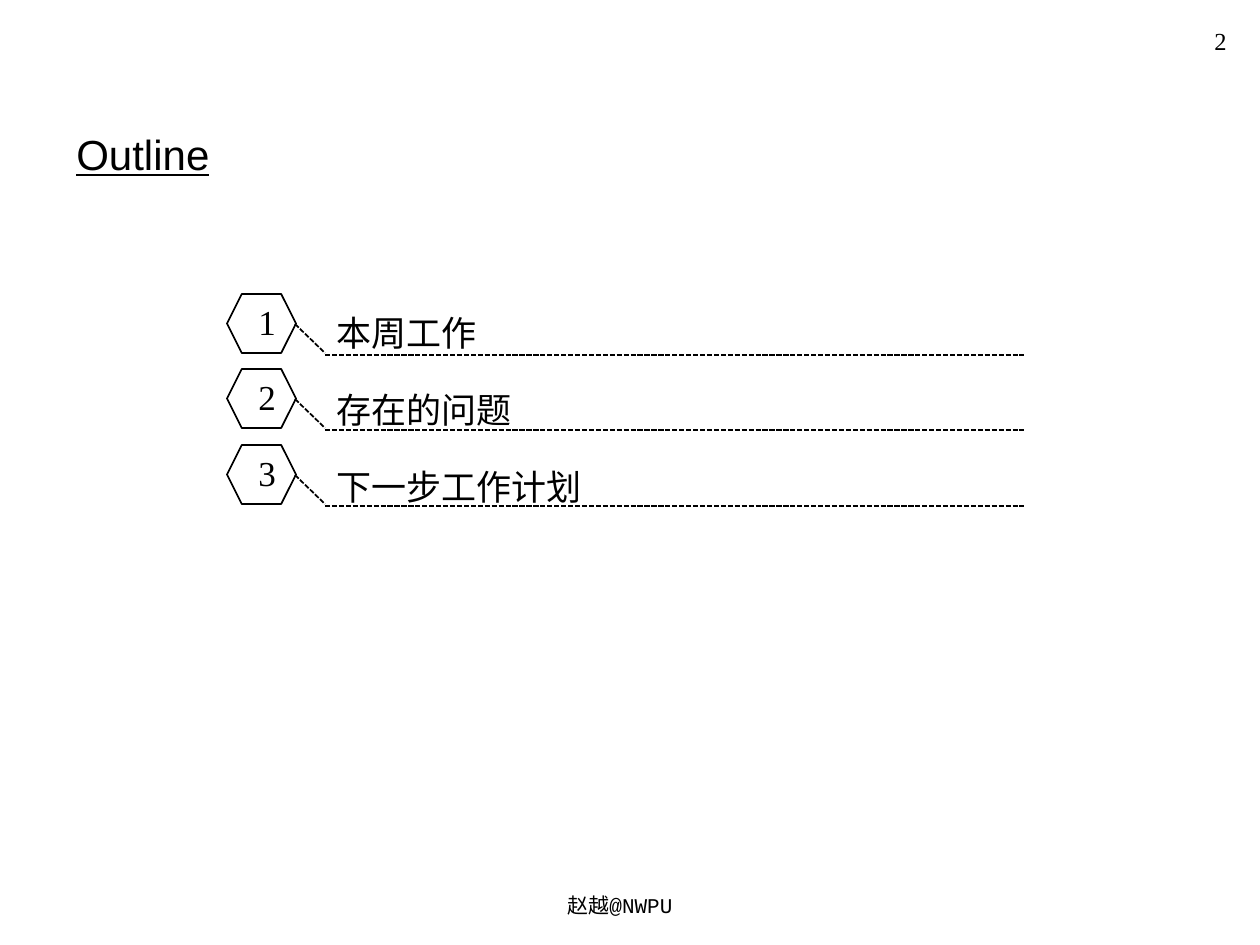
from lxml import etree
from pptx import Presentation
from pptx.dml.color import RGBColor
from pptx.enum.dml import MSO_LINE
from pptx.enum.shapes import MSO_CONNECTOR, MSO_SHAPE
from pptx.enum.text import MSO_ANCHOR, PP_ALIGN
from pptx.oxml.ns import qn
from pptx.util import Emu, Pt

HEXAGON = MSO_SHAPE.HEXAGON
STRAIGHT = MSO_CONNECTOR.STRAIGHT
DASH = MSO_LINE.SQUARE_DOT
LEFT, CENTER, RIGHT = PP_ALIGN.LEFT, PP_ALIGN.CENTER, PP_ALIGN.RIGHT
TOP, BOTTOM = MSO_ANCHOR.TOP, MSO_ANCHOR.BOTTOM

PX_PER_INCH = 126
BLACK = "000000"
SERIF, SANS, MONO = "Times New Roman", "Arial", "Courier New"
CHINESE = "Noto Sans CJK SC"

# number, topic, topic font, top of the hexagon in px
TOPICS = [
    ("1", "本周工作", MONO, 294),
    ("2", "存在的问题", CHINESE, 369),
    ("3", "下一步工作计划", CHINESE, 445),
]
FIRST_TOPIC_TOP, TOPIC_PITCH = 305, 77


def px(length):
    return Emu(round(length * 914400 / PX_PER_INCH))


def color(hex_string):
    return RGBColor.from_string(hex_string)


def add_text(slide, text, box, size, font_name, align=LEFT, anchor=TOP):
    frame = slide.shapes.add_textbox(*map(px, box)).text_frame
    frame.word_wrap = True
    frame.vertical_anchor = anchor
    paragraph = frame.paragraphs[0]
    paragraph.text = text
    paragraph.alignment = align
    run = paragraph.runs[0]
    run.font.size = Pt(size)
    run.font.name = font_name
    run.font.color.rgb = color(BLACK)
    east_asian = etree.SubElement(run.font._element, qn("a:ea"))
    east_asian.set("typeface", CHINESE)
    return run


def add_hexagon(slide, left, top, width, height):
    hexagon = slide.shapes.add_shape(HEXAGON, *map(px, (left, top, width, height)))
    hexagon.adjustments[0] = 0.25
    hexagon.shadow.inherit = False
    hexagon.fill.background()
    hexagon.line.color.rgb = color(BLACK)
    hexagon.line.width = Pt(1)


def add_dashed_line(slide, *ends):
    connector = slide.shapes.add_connector(STRAIGHT, *map(px, ends))
    connector.line.color.rgb = color(BLACK)
    connector.line.width = Pt(1)
    connector.line.dash_style = DASH
    etree.SubElement(connector._element.spPr, qn("a:effectLst"))


def add_topic(slide, number, topic, font_name, top, topic_top):
    add_hexagon(slide, 227, top, 69, 59)
    add_text(slide, number, (246, top, 29, 55), 20, SERIF, CENTER)
    add_dashed_line(slide, 295, top + 30, 325, top + 59)
    add_dashed_line(slide, 325, top + 61, 1024, top + 61)
    add_text(slide, topic, (324, topic_top, 699, 55), 20, font_name)


def main():
    presentation = Presentation()
    presentation.slide_width = px(1260)
    presentation.slide_height = px(945)
    slide = presentation.slides.add_slide(presentation.slide_layouts[6])

    add_text(slide, "赵越@NWPU", (305, 886, 630, 38), 12, MONO, CENTER)
    add_text(slide, "2", (1123, 20, 116, 55), 14, SERIF, RIGHT)
    title = add_text(slide, "Outline", (64, 106, 1121, 79), 24, SANS, anchor=BOTTOM)
    title.font.underline = True
    for index, topic in enumerate(TOPICS):
        add_topic(slide, *topic, FIRST_TOPIC_TOP + index * TOPIC_PITCH)

    presentation.save("out.pptx")


if __name__ == "__main__":
    main()
